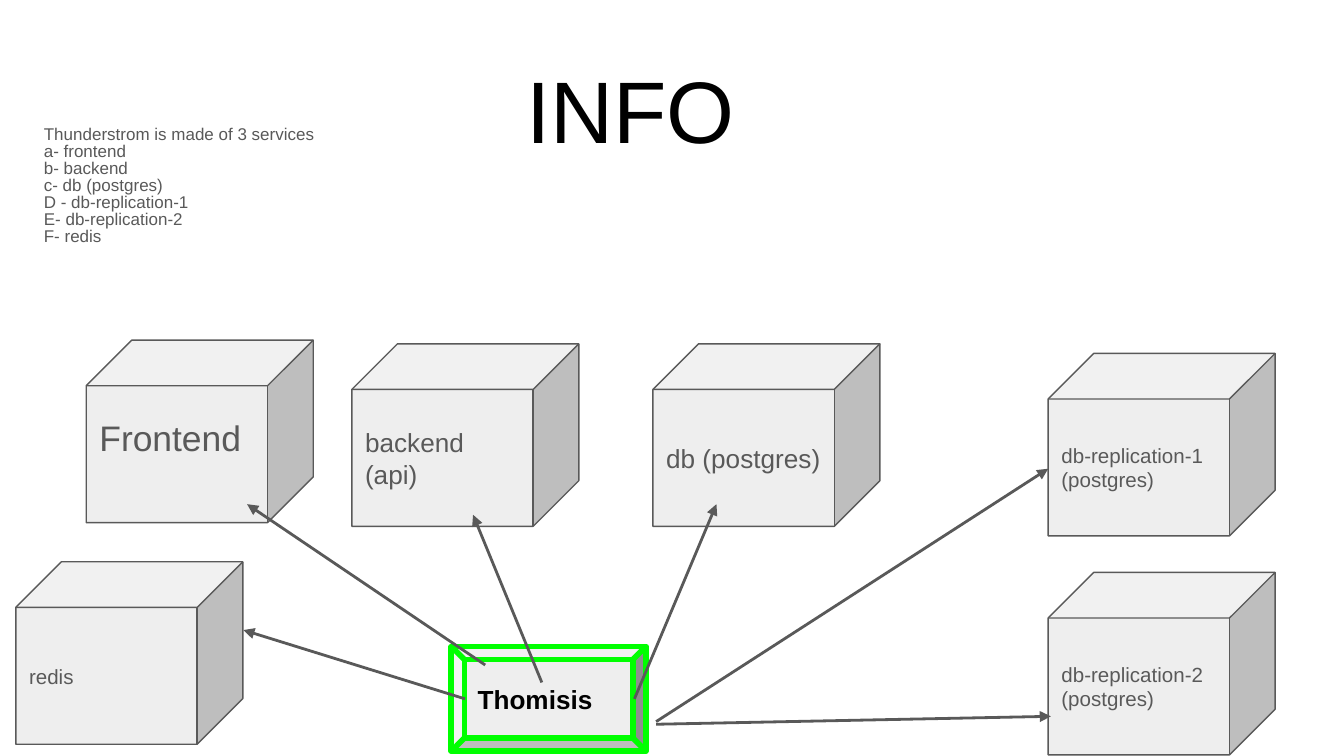
from pptx import Presentation
from pptx.dml.color import RGBColor
from pptx.enum.shapes import MSO_CONNECTOR as Link, MSO_SHAPE as Shape
from pptx.enum.text import MSO_ANCHOR as Anchor, PP_ALIGN as Align
from pptx.oxml.ns import qn
from pptx.util import Cm, Pt
from lxml.etree import SubElement

FONT = "Arial"
GREY, FACE, BLACK, GREEN = "595959", "EEEEEE", "000000", "00FF00"
INSET = 0.25
CUBE_WIDTH, CUBE_HEIGHT = 4.29, 3.45
SERVICES = [
    ("Frontend", 19, 1.63, 6.43, 0.9),
    ("backend (api)", 14, 6.65, 6.5, INSET),
    ("db (postgres)", 14, 12.34, 6.5, INSET),
    ("db-replication-1 (postgres)", 11, 19.81, 6.68, INSET),
    ("db-replication-2 (postgres)", 11, 19.81, 10.82, INSET),
    ("redis", 11, 0.3, 10.62, INSET),
]
ARROWS = [
    ((9.17, 12.57), (4.67, 9.53)),
    ((10.24, 12.9), (8.94, 9.73)),
    ((11.99, 13.21), (13.54, 9.53)),
    ((12.4, 13.64), (19.81, 8.86)),
    ((12.4, 13.69), (19.86, 13.54)),
    ((8.79, 13.21), (4.6, 11.91)),
]
SUMMARY = [
    "Thunderstrom is made of 3 services",
    "a- frontend",
    "b- backend",
    "c- db (postgres)",
    "D - db-replication-1",
    "E- db-replication-2",
    "F- redis",
]


def rgb(value):
    """Turn a hex string into a colour."""
    return RGBColor.from_string(value)


def write(shape, text, size, color, anchor, align=Align.LEFT, bold=False, spacing=1.0, bottom=INSET):
    """Fill a shape with uniformly styled text."""
    frame = shape.text_frame
    frame.word_wrap = True
    frame.vertical_anchor = anchor
    frame.margin_left = frame.margin_right = frame.margin_top = Cm(INSET)
    frame.margin_bottom = Cm(bottom)
    frame.text = text
    for para in frame.paragraphs:
        para.alignment = align
        para.line_spacing = spacing
        for span in para.runs:
            span.font.name = FONT
            span.font.size = Pt(size)
            span.font.bold = bold
            span.font.color.rgb = rgb(color)


def add_solid(page, kind, box, line_color, line_width):
    """Add a light grey preset shape with an outline."""
    shape = page.shapes.add_shape(kind, *map(Cm, box))
    shape.shadow.inherit = False
    shape.fill.solid()
    shape.fill.fore_color.rgb = rgb(FACE)
    shape.line.color.rgb = rgb(line_color)
    shape.line.width = Pt(line_width)
    return shape


def add_title(page, box):
    """Place the centred title."""
    title = page.shapes.add_textbox(*map(Cm, box))
    write(title, "INFO", 46.8, BLACK, Anchor.BOTTOM, Align.CENTER)


def add_summary(page, box):
    """Place the list of services."""
    summary = page.shapes.add_textbox(*map(Cm, box))
    write(summary, "\n".join(SUMMARY), 9.1, GREY, Anchor.TOP, spacing=0.83)


def add_service(page, box, label, size, bottom):
    """Place one service cube."""
    cube = add_solid(page, Shape.CUBE, box, GREY, 0.75)
    write(cube, label, size, GREY, Anchor.MIDDLE, bottom=bottom)


def add_hub(page, box):
    """Place the bevelled hub that the arrows leave."""
    hub = add_solid(page, Shape.BEVEL, box, GREEN, 3)
    write(hub, "Thomisis", 14, BLACK, Anchor.MIDDLE, bold=True)


def add_arrow(page, start, end):
    """Draw an arrow from the hub to a service."""
    arrow = page.shapes.add_connector(Link.STRAIGHT, *map(Cm, start + end))
    arrow.line.color.rgb = rgb(GREY)
    arrow.line.width = Pt(1.5)
    properties = arrow._element.spPr
    SubElement(properties.find(qn("a:ln")), qn("a:tailEnd"), type="triangle")
    SubElement(properties, qn("a:effectLst"))


def main():
    """Build and save the deck."""
    deck = Presentation()
    deck.slide_width, deck.slide_height = Cm(25.4), Cm(14.29)
    page = deck.slides.add_slide(deck.slide_layouts[6])
    add_title(page, (4.6, 0.79, 14.63, 2.51))
    add_summary(page, (0.58, 2.16, 9.12, 3.96))
    for label, size, left, top, bottom in SERVICES:
        add_service(page, (left, top, CUBE_WIDTH, CUBE_HEIGHT), label, size, bottom)
    add_hub(page, (8.53, 12.22, 3.68, 1.98))
    for start, end in ARROWS:
        add_arrow(page, start, end)
    deck.save("out.pptx")


if __name__ == "__main__":
    main()
